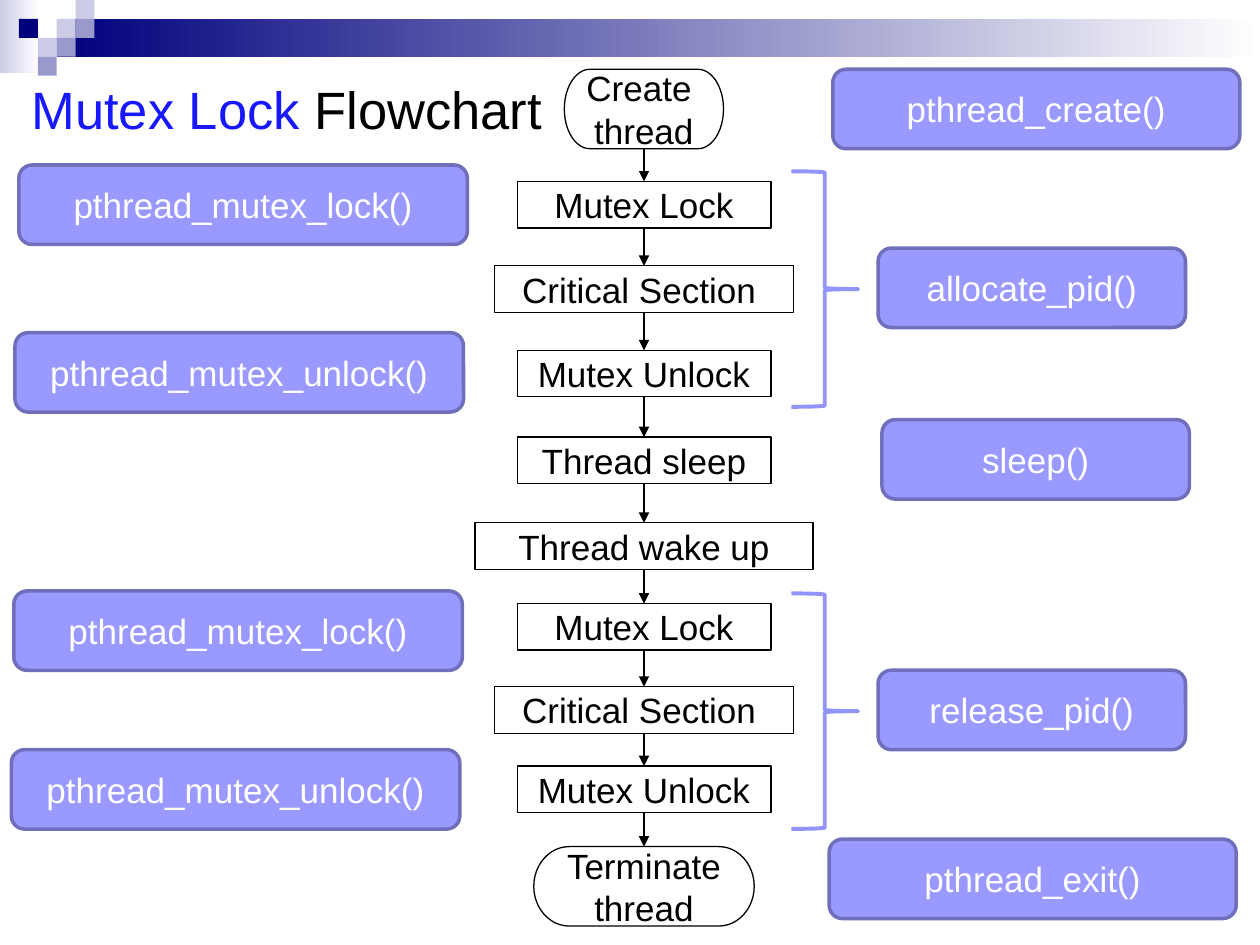
"""Builds the mutex lock flowchart slide."""
from pptx import Presentation
from pptx.dml.color import RGBColor
from pptx.enum.shapes import MSO_CONNECTOR as Link, MSO_SHAPE as Form
from pptx.enum.text import MSO_ANCHOR as Anchor, PP_ALIGN as Align
from pptx.oxml.ns import qn
from pptx.util import Pt
from lxml.etree import SubElement

NAVY, PALE, MID = "00007D", "CCCCE6", "9999CC"
CELL = 10.8
BARS = [(0, 0, 22.3, 41.8, PALE), (32.4, 10.8, 687.6, 21.6, NAVY)]
CELLS = [(3, 1, PALE), (4, 0, PALE), (4, 1, MID), (2, 2, PALE),
         (1, 1, NAVY), (3, 2, MID), (2, 3, MID)]
TITLE = [("Mutex Lock", "1818FF"), (" Flowchart", "000000")]
AXIS = 368
STEPS = [
    ("Create \nthread", 39.6, 91),
    ("Mutex Lock", 103.7, 145),
    ("Critical Section ", 151.9, 171),
    ("Mutex Unlock", 200.2, 145),
    ("Thread sleep", 249.8, 145),
    ("Thread wake up", 298.8, 193),
    ("Mutex Lock", 344.9, 145),
    ("Critical Section ", 392.4, 171),
    ("Mutex Unlock", 437.8, 145),
    ("Terminate\nthread", 483.8, 126),
]
CALLS = [
    ("pthread_create()", 475.9, 39.6, 232.6),
    ("pthread_exit()", 473.8, 479.5, 232.6),
    ("sleep()", 504, 239.8, 175.7),
    ("allocate_pid()", 501.8, 141.8, 175.7),
    ("release_pid()", 501.8, 383, 175.7),
    ("pthread_mutex_lock()", 10.8, 94.3, 256.3),
    ("pthread_mutex_unlock()", 8.6, 190.1, 256.3),
    ("pthread_mutex_lock()", 7.9, 337.7, 256.3),
    ("pthread_mutex_unlock()", 6.5, 428.4, 256.3),
]
BRACES = [97.9, 339.1]
TALL, LOW = 45.4, 26.6
STEP = dict(fill="FFFFFF", edge="000000", wide=0.75, ink="000000")
CALL = dict(fill="9999FF", edge="6F6FBC", wide=2, ink="FFFFFF")
FONT = dict(name="Arial", size=Pt(20), bold=False)


def tint(color, code):
    color.rgb = RGBColor.from_string(code)


def style(font, ink, **more):
    for key, value in {**FONT, **more}.items():
        setattr(font, key, value)
    tint(font.color, ink)


def draw(form, *place):
    shape = slide.shapes.add_shape(form, *map(Pt, place))
    shape.shadow.inherit = False
    return shape


def edge(shape, code, wide):
    tint(shape.line.color, code)
    shape.line.width = Pt(wide)


def block(color, *place):
    shape = draw(Form.RECTANGLE, *place)
    shape.line.fill.background()
    shape.fill.solid()
    tint(shape.fill.fore_color, color)
    return shape


def fade(color, *place):
    fill = block(color, *place).fill
    fill.gradient()
    fill.gradient_angle = 0
    for stop, code in zip(fill.gradient_stops, (color, "FFFFFF")):
        tint(stop.color, code)


def label(form, text, place, look):
    shape = draw(form, *place)
    shape.fill.solid()
    tint(shape.fill.fore_color, look["fill"])
    edge(shape, look["edge"], look["wide"])
    frame = shape.text_frame
    frame.text = text
    frame.word_wrap = True
    frame.vertical_anchor = Anchor.MIDDLE
    for para in frame.paragraphs:
        para.alignment = Align.CENTER
        style(para.runs[0].font, look["ink"])
    return shape


def arrow(start, end):
    line = slide.shapes.add_connector(Link.STRAIGHT, 0, 0, 0, 0)
    line.begin_connect(start, 2)
    line.end_connect(end, 0)
    edge(line, "000000", 0.75)
    SubElement(line.line._get_or_add_ln(), qn("a:tailEnd"), type="triangle")
    SubElement(line._element.spPr, qn("a:effectLst"))


deck = Presentation()
deck.slide_width, deck.slide_height = Pt(720), Pt(540)
slide = deck.slides.add_slide(deck.slide_layouts[5])

for *place, color in BARS:
    fade(color, *place)
for col, row, color in CELLS:
    block(color, col * CELL, row * CELL, CELL, CELL)

title = slide.shapes.title
title.left, title.top, title.width, title.height = map(Pt, (10.8, 33.1, 648, 58.3))
title.text_frame.vertical_anchor = Anchor.MIDDLE
para = title.text_frame.paragraphs[0]
para.alignment = Align.LEFT
for text, ink in TITLE:
    run = para.add_run()
    run.text = text
    style(run.font, ink, size=Pt(30))

nodes = []
for text, top, width in STEPS:
    ends = "\n" in text
    form = Form.FLOWCHART_TERMINATOR if ends else Form.FLOWCHART_PROCESS
    place = AXIS - width / 2, top, width, TALL if ends else LOW
    nodes.append(label(form, text, place, STEP))
for start, end in zip(nodes, nodes[1:]):
    arrow(start, end)

for text, left, top, width in CALLS:
    label(Form.ROUNDED_RECTANGLE, text, (left, top, width, TALL), CALL)

for top in BRACES:
    brace = draw(Form.RIGHT_BRACE, 452.2, top, 38.2, 134.6)
    brace.adjustments[0], brace.adjustments[1] = 0.02, 0.5
    brace.fill.background()
    edge(brace, "9393FC", 2.25)

deck.save("out.pptx")
